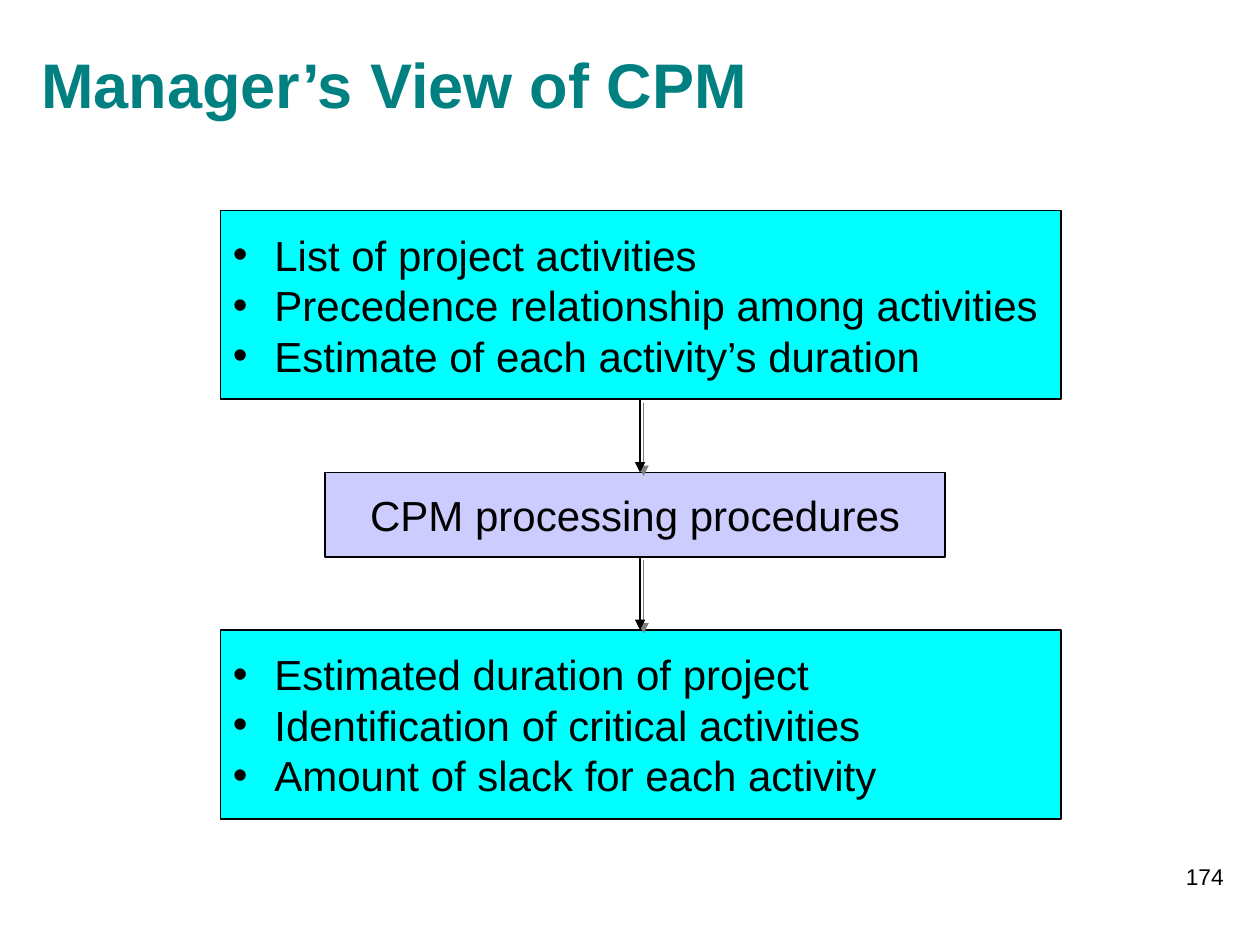
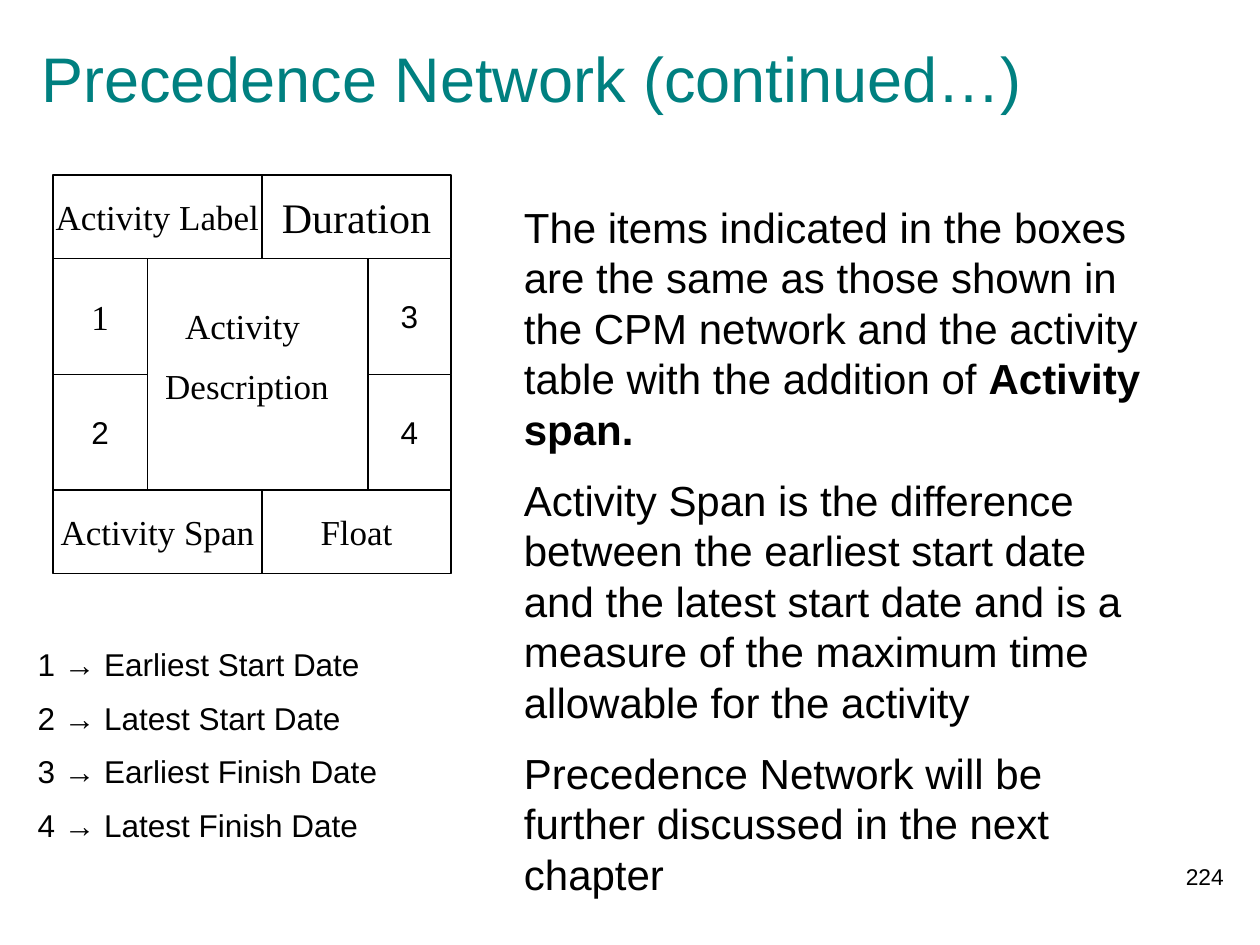
import pptx
import pptx.util
import pptx.dml.color
import pptx.enum.shapes
import pptx.enum.text
import pptx.oxml
import pptx.oxml.ns
from dataclasses import dataclass
from lxml import etree

Inches = pptx.util.Inches
Pt = pptx.util.Pt
Align = pptx.enum.text.PP_ALIGN
Anchor = pptx.enum.text.MSO_ANCHOR
qn = pptx.oxml.ns.qn


@dataclass(frozen=True)
class Theme:
    title: str = "008080"
    ink: str = "000000"
    data_box: str = "00FFFF"
    process_box: str = "CCCCFF"
    shadow: str = "808080"
    sans: str = "Arial"
    serif: str = "Times New Roman"
    title_size: int = 36
    body_size: int = 24
    label_size: int = 20
    small_size: int = 18
    number_size: int = 13


THEME = Theme()

# Flow boxes, top to bottom: lines, bulleted, fill, left, top, width, height
FLOW_CENTRE = 5.08
FLOW_BOXES = [
    (["List of project activities",
      "Precedence relationship among activities",
      "Estimate of each activity’s duration"],
     True, THEME.data_box, 1.75, 1.67, 6.67, 1.5),
    (["CPM processing procedures"],
     False, THEME.process_box, 2.58, 3.75, 4.92, 0.67),
    (["Estimated duration of project",
      "Identification of critical activities",
      "Amount of slack for each activity"],
     True, THEME.data_box, 1.75, 5, 6.67, 1.5),
]

# Edges of the activity node; each cell: text, first and last column edge, row, size, font
COLUMN_EDGES = [0.42, 1.17, 2.08, 2.92, 3.58]
ROW_EDGES = [1.39, 2.05, 2.97, 3.89, 4.55]
NODE_CELLS = [
    ("Activity Label", 0, 2, 0, THEME.label_size, THEME.serif),
    ("Duration", 2, 4, 0, THEME.body_size, THEME.serif),
    ("1", 0, 1, 1, THEME.label_size, THEME.serif),
    ("3", 3, 4, 1, THEME.small_size, THEME.sans),
    ("2", 0, 1, 2, THEME.small_size, THEME.sans),
    ("4", 3, 4, 2, THEME.small_size, THEME.sans),
    ("Activity Span", 0, 2, 3, THEME.label_size, THEME.serif),
    ("Float", 2, 4, 3, THEME.label_size, THEME.serif),
]
NODE_CENTRE = ["Activity ", "Description"]
LEGEND = [
    "1 → Earliest Start Date",
    "2 → Latest Start Date",
    "3 → Earliest Finish Date",
    "4 → Latest Finish Date",
]
# A paragraph is a string, or a list of (text, bold) runs
EXPLANATION = [
    [("The items indicated in the boxes are the same as those shown in the CPM "
      "network and the activity table with the addition of ", False),
     ("Activity span.", True)],
    "Activity Span is the difference between the earliest start date and the latest "
    "start date and is a measure of the maximum time allowable for the activity",
    "Precedence Network will be further discussed in the next chapter",
]


def rgb(value):
    return pptx.dml.color.RGBColor.from_string(value)


def add_bullet(paragraph):
    properties = paragraph._p.get_or_add_pPr()
    properties.set("marL", str(Inches(0.33)))
    properties.set("indent", str(-Inches(0.33)))
    etree.SubElement(properties, qn("a:buFont"), typeface=THEME.sans)
    etree.SubElement(properties, qn("a:buChar"), char="•")


def write_text(shape, paragraphs, size=THEME.body_size, font=THEME.sans,
               color=THEME.ink, bold=False, align=Align.LEFT, anchor=Anchor.TOP,
               wrap=True, bullets=False, gap=0):
    frame = shape.text_frame
    frame.word_wrap = wrap
    frame.vertical_anchor = anchor
    for index, content in enumerate(paragraphs):
        paragraph = frame.add_paragraph() if index else frame.paragraphs[0]
        if bullets:
            add_bullet(paragraph)
        paragraph.alignment = align
        if index and gap:
            paragraph.space_before = Pt(gap)
        runs = [(content, bold)] if isinstance(content, str) else content
        for text, run_bold in runs:
            run = paragraph.add_run()
            run.text = text
            run.font.size = Pt(size)
            run.font.name = font
            run.font.bold = run_bold
            run.font.color.rgb = rgb(color)


def add_text(slide, paragraphs, left, top, width, height, **text_format):
    box = slide.shapes.add_textbox(*map(Inches, (left, top, width, height)))
    write_text(box, paragraphs, **text_format)


def add_box(slide, paragraphs, left, top, width, height, fill=None,
            line_width=0.75, **text_format):
    box = slide.shapes.add_shape(pptx.enum.shapes.MSO_SHAPE.RECTANGLE,
                                 *map(Inches, (left, top, width, height)))
    box.shadow.inherit = False
    if fill:
        box.fill.solid()
        box.fill.fore_color.rgb = rgb(fill)
    else:
        box.fill.background()
    box.line.color.rgb = rgb(THEME.ink)
    box.line.width = Pt(line_width)
    write_text(box, paragraphs, anchor=Anchor.MIDDLE, **text_format)


def add_down_arrow(slide, x, top, bottom):
    arrow = slide.shapes.add_connector(pptx.enum.shapes.MSO_CONNECTOR.STRAIGHT,
                                       *map(Inches, (x, top, x, bottom)))
    arrow.line.color.rgb = rgb(THEME.ink)
    arrow.line.width = Pt(1)
    properties = arrow._element.spPr
    etree.SubElement(properties.find(qn("a:ln")), qn("a:tailEnd"), type="triangle")
    effects = etree.SubElement(properties, qn("a:effectLst"))
    shadow = etree.SubElement(effects, qn("a:outerShdw"), dist=str(Pt(2.8)),
                              dir=str(45 * 60000), algn="ctr", rotWithShape="0")
    etree.SubElement(shadow, qn("a:srgbClr"), val=THEME.shadow)


def add_slide(presentation, title, number, title_top, bold=False):
    """Add a blank slide with the shared title style and page number."""
    slide = presentation.slides.add_slide(presentation.slide_layouts[6])
    add_text(slide, [title], 0.23, title_top, 8.03, 0.93, size=THEME.title_size,
             color=THEME.title, bold=bold, anchor=Anchor.MIDDLE)
    add_text(slide, [number], 7.73, 6.8, 2.08, 0.5, size=THEME.number_size,
             align=Align.RIGHT)
    return slide


def build_manager_view(presentation):
    slide = add_slide(presentation, "Manager’s View of CPM", "174", 0.2, bold=True)
    for lines, bulleted, fill, left, top, width, height in FLOW_BOXES:
        add_box(slide, lines, left, top, width, height, fill=fill, line_width=1,
                bullets=bulleted, wrap=bulleted,
                align=Align.LEFT if bulleted else Align.CENTER)
    for upper, lower in zip(FLOW_BOXES, FLOW_BOXES[1:]):
        upper_top, upper_height = upper[4], upper[6]
        add_down_arrow(slide, FLOW_CENTRE, upper_top + upper_height, lower[4])


def build_precedence_network(presentation):
    slide = add_slide(presentation, "Precedence Network (continued…)", "224", 0.15)
    for text, first, last, row, size, font in NODE_CELLS:
        left, top = COLUMN_EDGES[first], ROW_EDGES[row]
        add_box(slide, [text], left, top, COLUMN_EDGES[last] - left,
                ROW_EDGES[row + 1] - top, size=size, font=font,
                align=Align.CENTER, wrap=False)
    add_text(slide, NODE_CENTRE, 1.17, 2.37, 1.58, 0.93, size=THEME.label_size,
             font=THEME.serif, align=Align.CENTER, gap=THEME.label_size / 2)
    add_text(slide, EXPLANATION, 4.06, 1.55, 5.17, 5.69, gap=THEME.body_size / 2)
    add_text(slide, LEGEND, 0.2, 5.07, 3.82, 1.76, size=THEME.small_size,
             gap=THEME.small_size / 2)


def main():
    presentation = pptx.Presentation()
    presentation.slide_width = Inches(10)
    presentation.slide_height = Inches(7.5)
    build_manager_view(presentation)
    build_precedence_network(presentation)
    presentation.save("out.pptx")


if __name__ == "__main__":
    main()
